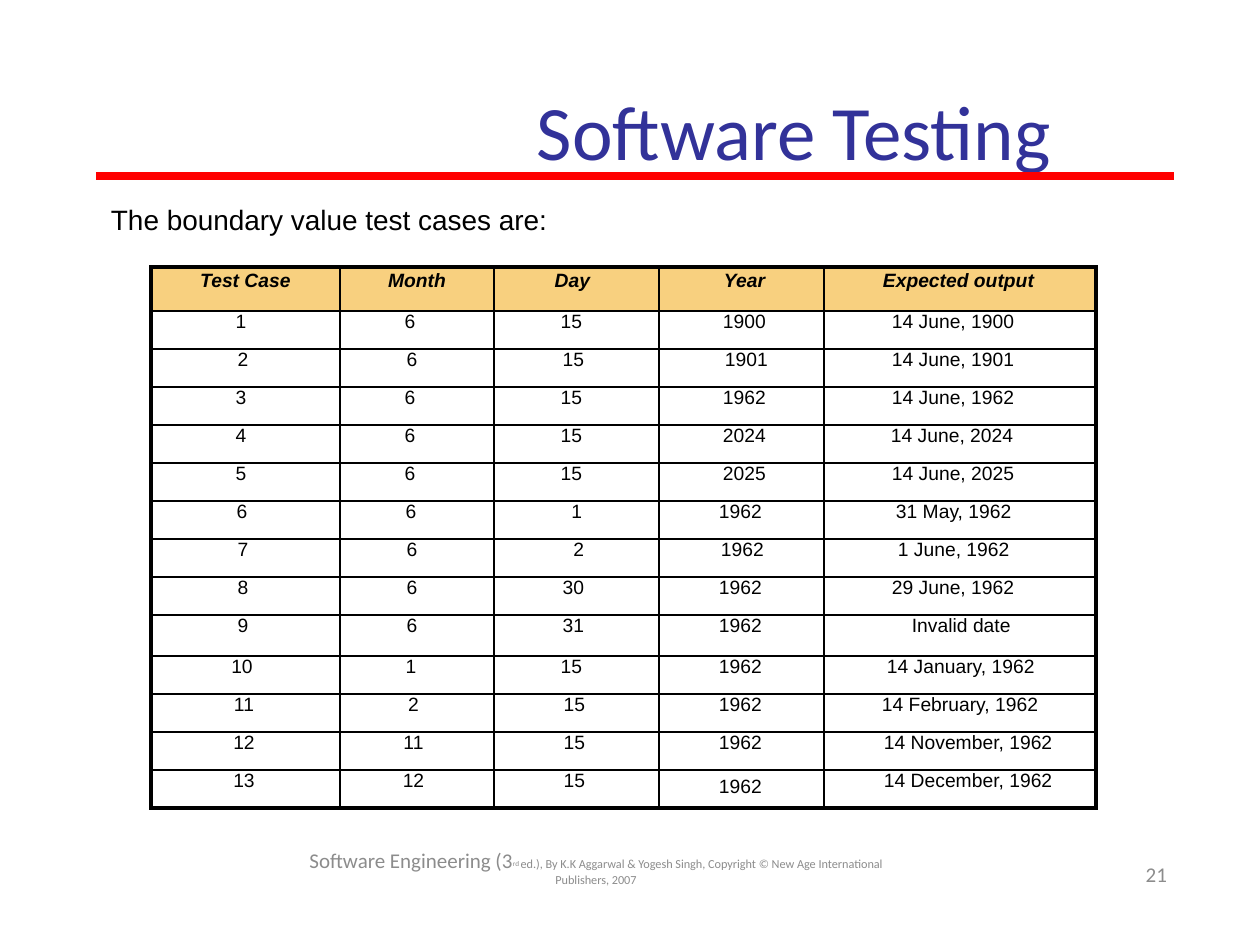
from typing import NamedTuple

from lxml import etree
from pptx import Presentation
from pptx import util as u
from pptx.dml import color as col
from pptx.enum import shapes, text
from pptx.oxml import ns

HUES = {"title": "323299", "rule": "FF0000", "ink": "000000", "head": "F8D07F", "foot": "8C8C8C"}
EDGES = ("a:lnL", "a:lnR", "a:lnT", "a:lnB")
LEFT, MID, RIGHT = text.PP_ALIGN.LEFT, text.PP_ALIGN.CENTER, text.PP_ALIGN.RIGHT
SCALE = u.Inches(1) / 126


class Box(NamedTuple):
    x: int
    y: int
    w: int
    h: int


class Field(NamedTuple):
    width: int
    align: text.PP_ALIGN


class Row(NamedTuple):
    height: int
    words: tuple[str, ...]
    pads: tuple[int, ...]


FIELDS = [Field(189, MID), Field(154, MID), Field(165, RIGHT), Field(165, LEFT), Field(272, LEFT)]
HEAD = Row(44, ("Test Case", "Month", "Day", "Year", "Expected output"), (0, 0, 69, 65, 59))
CASES = [
    Row(38, ("1", "6", "15", "1900", "14 June, 1900"), (9, 14, 77, 64, 68)),
    Row(38, ("2", "6", "15", "1901", "14 June, 1901"), (5, 10, 75, 66, 68)),
    Row(38, ("3", "6", "15", "1962", "14 June, 1962"), (9, 14, 77, 64, 68)),
    Row(38, ("4", "6", "15", "2024", "14 June, 2024"), (9, 14, 77, 64, 67)),
    Row(38, ("5", "6", "15", "2025", "14 June, 2025"), (9, 14, 77, 64, 68)),
    Row(38, ("6", "6", "1", "1962", "31 May, 1962"), (7, 12, 77, 60, 72)),
    Row(38, ("7", "6", "2", "1962", "1 June, 1962"), (5, 10, 75, 62, 74)),
    Row(38, ("8", "6", "30", "1962", "29 June, 1962"), (5, 10, 75, 60, 68)),
    Row(41, ("9", "6", "31", "1962", "Invalid date"), (5, 10, 75, 60, 88)),
    Row(38, ("10", "1", "15", "1962", "14 January, 1962"), (7, 12, 77, 60, 63)),
    Row(38, ("11", "2", "15", "1962", "14 February, 1962"), (3, 7, 74, 60, 58)),
    Row(38, ("12", "11", "15", "1962", "14 November, 1962"), (3, 7, 74, 60, 60)),
    Row(38, ("13", "12", "15", "1962", "14 December, 1962"), (3, 7, 74, 60, 60)),
]


def px(n: int) -> u.Emu:
    return u.Emu(round(n * SCALE))


def hue(name: str) -> col.RGBColor:
    return col.RGBColor.from_string(HUES[name])


def put(par, words: str, size=11, font="Arial", ink="ink", bold=False, slant=False,
        base=0, align=None, lead=None) -> None:
    run = par.add_run()
    run.text = words
    run.font.size, run.font.name = u.Pt(size), font
    run.font.bold, run.font.italic = bold, slant
    run.font.color.rgb = hue(ink)
    if base:
        run._r.get_or_add_rPr().set("baseline", str(base * 1000))
    if align is not None:
        par.alignment = align
    if lead:
        par.line_spacing = u.Pt(lead)


def pad(item, left=0, top=0, right=0) -> None:
    item.margin_left, item.margin_top = px(left), px(top)
    item.margin_right, item.margin_bottom = px(right), 0


def frame(slide, box: Box, anchor=text.MSO_ANCHOR.TOP, **pads):
    body = slide.shapes.add_textbox(*map(px, box)).text_frame
    body.word_wrap, body.vertical_anchor = True, anchor
    pad(body, **pads)
    return body.paragraphs[0]


def border(cell, widths: list[float]) -> None:
    props = cell._tc.get_or_add_tcPr()
    for spot, (tag, width) in enumerate(zip(EDGES, widths)):
        line = etree.Element(ns.qn(tag), w=str(u.Pt(width)))
        fill = etree.SubElement(line, ns.qn("a:solidFill"))
        etree.SubElement(fill, ns.qn("a:srgbClr"), val=HUES["ink"])
        props.insert(spot, line)


def grid(slide, box: Box, rows: list[Row]) -> None:
    table = slide.shapes.add_table(len(rows), len(FIELDS), *map(px, box)).table
    table.first_row = table.horz_banding = False
    for c, field in enumerate(FIELDS):
        table.columns[c].width = px(field.width)
    last, end = len(rows) - 1, len(FIELDS) - 1
    for r, row in enumerate(rows):
        table.rows[r].height = px(row.height)
        top = r == 0
        for c, (field, words, gap) in enumerate(zip(FIELDS, row.words, row.pads)):
            cell = table.cell(r, c)
            pad(cell, **{"left" if field.align == LEFT else "right": gap})
            if top:
                cell.fill.solid()
                cell.fill.fore_color.rgb = hue("head")
            else:
                cell.fill.background()
            outer = (c == 0, c == end, top, r == last)
            border(cell, [2.25 if out else 1 for out in outer])
            lead = 14.1 if top else 15.6 if (r, c) == (last, 3) else None
            put(cell.text_frame.paragraphs[0], words, bold=top, slant=top,
                align=field.align, lead=lead)


def rule(slide, x: int, y: int, end: int) -> None:
    line = slide.shapes.add_connector(shapes.MSO_CONNECTOR.STRAIGHT, px(x), px(y), px(end), px(y))
    line.line.color.rgb = hue("rule")
    line.line.width = u.Pt(4.5)
    etree.SubElement(line._element.spPr, ns.qn("a:effectLst"))


def main() -> None:
    deck = Presentation()
    deck.slide_width, deck.slide_height = px(1260), px(945)
    slide = deck.slides.add_slide(deck.slide_layouts[5])

    title = slide.shapes.title
    title.left, title.top, title.width, title.height = map(px, Box(63, 57, 1134, 119))
    body = title.text_frame
    body.auto_size, body.vertical_anchor = text.MSO_AUTO_SIZE.NONE, text.MSO_ANCHOR.MIDDLE
    pad(body, left=328, top=26)
    put(body.paragraphs[0], "Software Testing", size=44, font="Calibri", ink="title", align=MID)

    rule(slide, 96, 176, 1174)
    put(frame(slide, Box(110, 203, 450, 34), left=1), "The boundary value test cases are:", size=16)
    grid(slide, Box(151, 267, 945, 541), [HEAD, *CASES])

    mid = text.MSO_ANCHOR.MIDDLE
    foot = {"font": "Calibri", "ink": "foot"}
    put(frame(slide, Box(1051, 815, 116, 83), mid, top=37), "21", size=12, align=RIGHT, lead=13.2, **foot)
    note = frame(slide, Box(285, 859, 622, 28), mid, left=5, right=5)
    put(note, "Software Engineering (3", size=12, align=MID, lead=7.8, **foot)
    put(note, "rd ", size=7, base=22, **foot)
    put(note, "ed.), By K.K Aggarwal & Yogesh Singh, Copyright © New Age International Publishers, 2007",
        size=7, **foot)

    deck.save("out.pptx")


if __name__ == "__main__":
    main()
